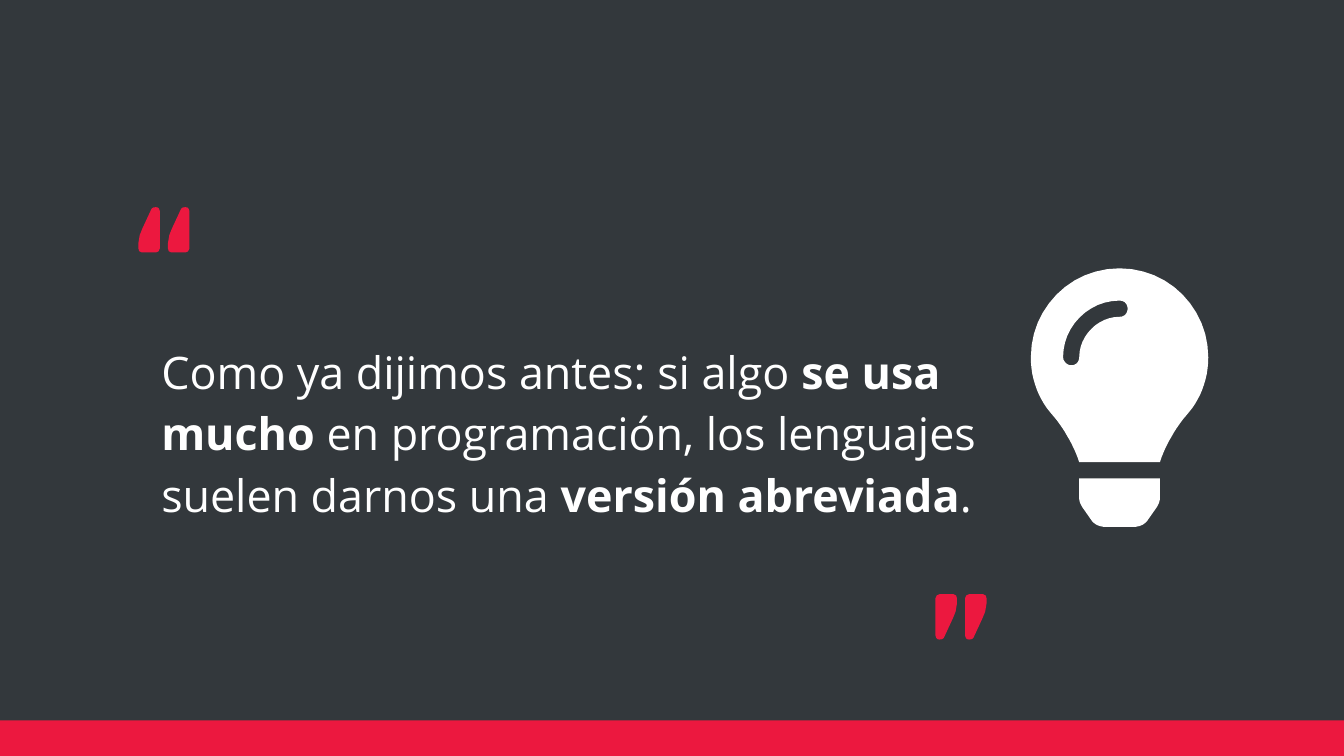
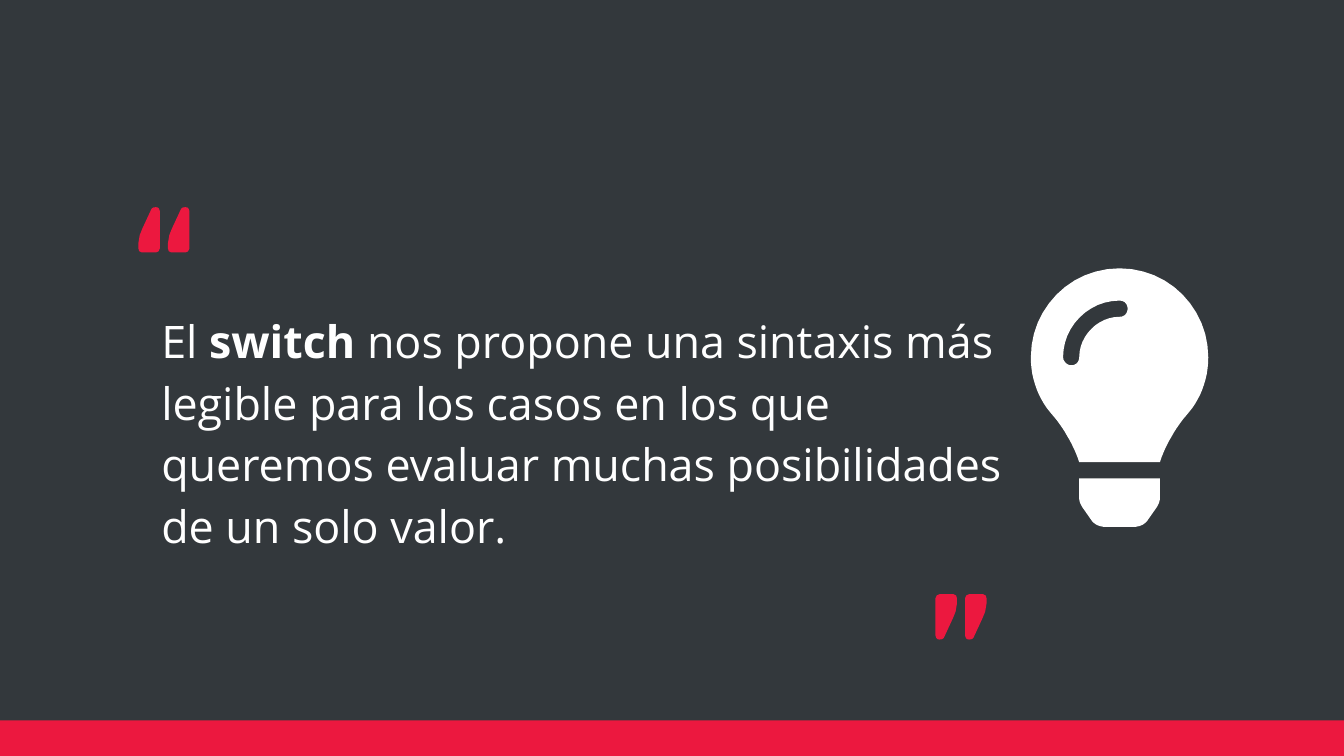
import pptx
import pptx.dml.color
import pptx.enum.shapes
import pptx.enum.text
import pptx.oxml
import pptx.util

RGBColor = pptx.dml.color.RGBColor
DARK = RGBColor(0x33, 0x38, 0x3C)
RED = RGBColor(0xEC, 0x18, 0x3F)
WHITE = RGBColor(0xFF, 0xFF, 0xFF)

WIDTH, HEIGHT = pptx.util.Inches(10), pptx.util.Pt(405)
FINE = 10  # drawing units per outline unit
CURVE_STEPS = 12

# Boxes as left, top, width, height in percent of the slide
TEXT_BOX = (11, 37, 64.9, 39.5)
BULB_BOX = (76.7, 35.5, 13.2, 34.2)
OPEN_BOX = (10.3, 27.4, 3.8, 6)
CLOSE_BOX = (69.6, 78.6, 3.8, 6)
BAND_BOX = (-0.2, 95.3, 100.3, 4.8)

QUOTE_FONT = {"name": "Open Sans", "size": pptx.util.Pt(24)}
QUOTE_PARAGRAPH = {"line_spacing": 1.15, "space_before": pptx.util.Pt(6),
                   "alignment": pptx.enum.text.PP_ALIGN.LEFT}
QUOTE_FRAME = {"word_wrap": True,
               "auto_size": pptx.enum.text.MSO_AUTO_SIZE.NONE,
               "vertical_anchor": pptx.enum.text.MSO_ANCHOR.MIDDLE,
               "margin_left": pptx.util.Inches(0.1),
               "margin_right": pptx.util.Inches(0.1),
               "margin_top": pptx.util.Inches(0.05),
               "margin_bottom": pptx.util.Inches(0.05)}

# Outlines: 2 numbers make a line, 6 make a Bezier curve
BULB_SIZE = (132, 192)
BULB = [
    # screw base
    [(36, 171), (36, 173, 37, 175, 38, 177), (45, 187),
     (47, 190, 51, 192, 55, 192), (77, 192), (81, 192, 85, 190, 87, 187),
     (94, 177), (95, 175, 96, 173, 96, 171), (96, 156), (36, 156)],
    # glass
    [(0, 66), (0, 83, 6, 98, 17, 110), (23, 117, 32, 131, 36, 144), (96, 144),
     (100, 131, 109, 117, 115, 110), (126, 98, 132, 83, 132, 66),
     (132, 30, 103, 0, 66, 0), (29, 0, 0, 30, 0, 66)],
    # gleam
    [(66, 36), (50, 36, 36, 50, 36, 66), (36, 69, 34, 72, 30, 72),
     (27, 72, 24, 69, 24, 66), (24, 43, 43, 24, 66, 24),
     (70, 24, 72, 27, 72, 30), (72, 33, 70, 36, 66, 36)],
]
MARK_SIZE = (16, 34)
MARK = [[(13, 0), (11, 0.3), (9.8, 1.3), (3, 16), (1, 21), (0, 27), (0, 31),
         (0.6, 33), (2.5, 34), (13, 34), (15, 33.2), (16, 31), (16, 3),
         (15.4, 1.2), (14.5, 0.3)]]
PAIR_PITCH = 22
PAIR_WIDTH = PAIR_PITCH + MARK_SIZE[0]

# Each quote is a list of (text, bold) runs
QUOTES = [
    [("Como ya dijimos antes: si algo ", False), ("se usa mucho", True),
     (" en programación, los lenguajes suelen darnos una ", False),
     ("versión abreviada", True), (".", False)],
    [("El ", False), ("switch ", True),
     ("nos propone una sintaxis más legible para los casos en los que "
      "queremos evaluar muchas posibilidades de un solo valor.", False)],
]


def to_emu(box):
    """Turn a box in percent of the slide into lengths."""
    return [round(share * side / 100)
            for share, side in zip(box, (WIDTH, HEIGHT) * 2)]


def set_all(target, values):
    for name, value in values.items():
        setattr(target, name, value)


def paint(sp, color):
    sp.shadow.inherit = False
    sp.fill.solid()
    sp.fill.fore_color.rgb = color
    sp.line.fill.background()


def flatten(contour):
    """Return the points of a contour, its curves cut into short lines."""
    points = []
    for step in contour:
        if len(step) == 2:
            points.append(step)
            continue
        x0, y0 = points[-1]
        x1, y1, x2, y2, x3, y3 = step
        for i in range(1, CURVE_STEPS + 1):
            t = i / CURVE_STEPS
            a, b, c, d = (1 - t)**3, 3*t*(1 - t)**2, 3*t*t*(1 - t), t**3
            points.append((a*x0 + b*x1 + c*x2 + d*x3,
                           a*y0 + b*y1 + c*y2 + d*y3))
    return [(x * FINE, y * FINE) for x, y in points]


def add_outline(shapes, box, size, contours, color):
    """Draw contours of the given size so that they fill the box."""
    left, top, width, height = box
    scale = (width / size[0] / FINE, height / size[1] / FINE)
    first, *others = [flatten(contour) for contour in contours]
    builder = shapes.build_freeform(*first[0], scale=scale)
    builder.add_line_segments(first[1:], close=True)
    for points in others:
        builder.move_to(*points[0])
        builder.add_line_segments(points[1:], close=True)
    sp = builder.convert_to_shape(left, top)
    paint(sp, color)
    return sp


def add_quote_marks(s, box, rotation):
    left, top, width, height = to_emu(box)
    unit = width / PAIR_WIDTH
    group = s.shapes.add_group_shape()
    for i in range(2):
        mark_box = (round(left + i * PAIR_PITCH * unit), top,
                    MARK_SIZE[0] * unit, height)
        sp = add_outline(group.shapes, mark_box, MARK_SIZE, MARK, RED)
        sp.rotation = rotation


def fill_quote(sp, box, runs):
    sp.left, sp.top, sp.width, sp.height = to_emu(box)
    tf = sp.text_frame
    set_all(tf, QUOTE_FRAME)
    p = tf.paragraphs[0]
    set_all(p, QUOTE_PARAGRAPH)
    # No bullet, no hanging indent
    props = p._p.get_or_add_pPr()
    props.set("marL", "0")
    props.set("indent", "0")
    props.append(pptx.oxml.parse_xml(
        '<a:buNone xmlns:a='
        '"http://schemas.openxmlformats.org/drawingml/2006/main"/>'))
    for text, bold in runs:
        r = p.add_run()
        r.text = text
        set_all(r.font, {**QUOTE_FONT, "bold": bold})
        r.font.color.rgb = WHITE


def add_band(s, box):
    sp = s.shapes.add_shape(pptx.enum.shapes.MSO_SHAPE.RECTANGLE, *to_emu(box))
    paint(sp, RED)


def add_quote_slide(prs, runs):
    s = prs.slides.add_slide(prs.slide_layouts.get_by_name("Title and Content"))
    title = s.shapes.title._element
    title.getparent().remove(title)
    fill_quote(s.placeholders[1], TEXT_BOX, runs)
    add_outline(s.shapes, to_emu(BULB_BOX), BULB_SIZE, BULB, WHITE)
    add_quote_marks(s, OPEN_BOX, 0)
    add_quote_marks(s, CLOSE_BOX, 180)
    add_band(s, BAND_BOX)


def main():
    prs = pptx.Presentation()
    prs.slide_width, prs.slide_height = WIDTH, HEIGHT
    background = prs.slide_master.background.fill
    background.solid()
    background.fore_color.rgb = DARK
    for runs in QUOTES:
        add_quote_slide(prs, runs)
    prs.save("out.pptx")


if __name__ == "__main__":
    main()
